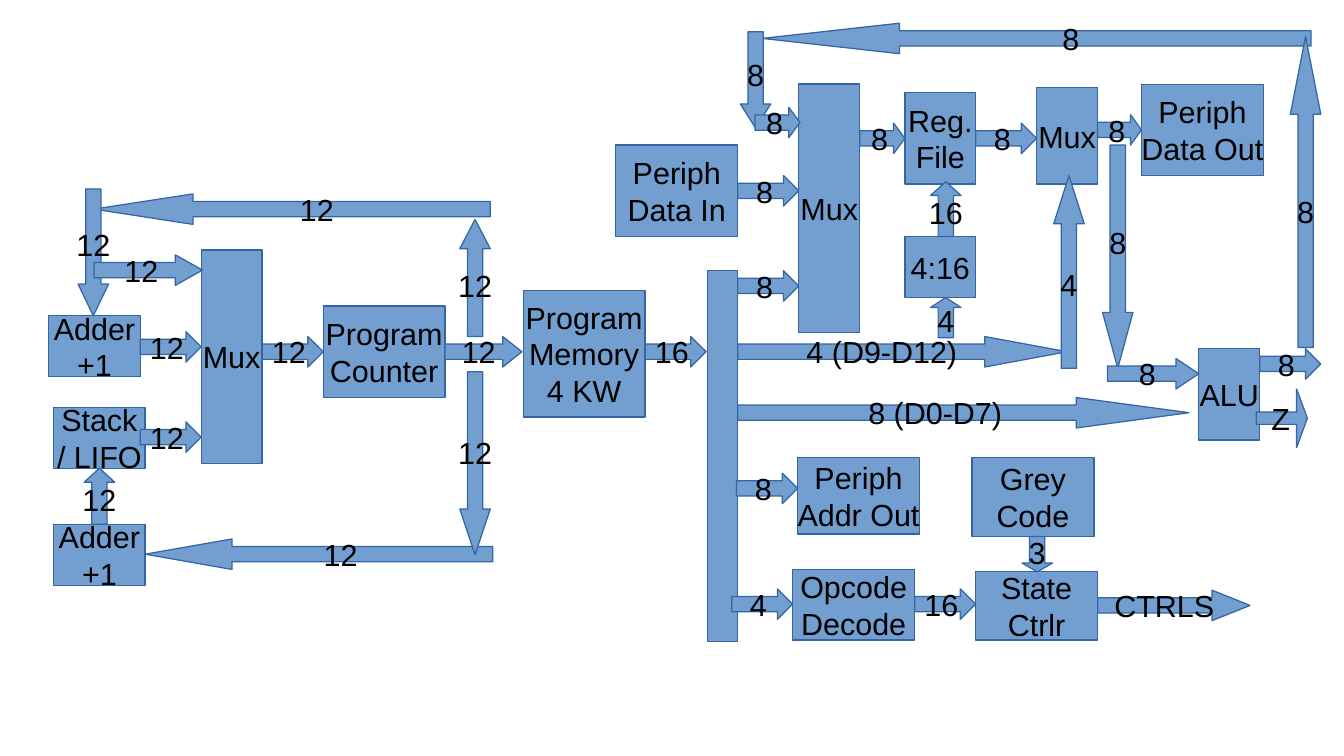
"""Draw the block diagram of a small processor with its labelled buses."""
from pptx import Presentation
from pptx.dml.color import RGBColor
from pptx.enum import shapes, text
from pptx.util import Inches, Pt

RECT = shapes.MSO_SHAPE.RECTANGLE
RIGHT = shapes.MSO_SHAPE.RIGHT_ARROW
LEFT = shapes.MSO_SHAPE.LEFT_ARROW
UP = shapes.MSO_SHAPE.UP_ARROW
DOWN = shapes.MSO_SHAPE.DOWN_ARROW
BUS_WIDTH = 0.25

prs = Presentation()
prs.slide_width, prs.slide_height = Inches(11.02), Inches(6.2)
slide = prs.slides.add_slide(prs.slide_layouts[6])


def color(value):
    return RGBColor.from_string(value)


def add_part(label, kind, left, top, width, height, size=18, font="Arial",
             ink="000000", fill="729FCF", edge="3465A4"):
    part = slide.shapes.add_shape(kind, Inches(left), Inches(top), Inches(width), Inches(height))
    part.shadow.inherit = False
    part.fill.solid()
    part.fill.fore_color.rgb = color(fill)
    part.line.color.rgb = color(edge)
    part.line.width = Pt(0)
    frame = part.text_frame
    frame.word_wrap = False
    frame.vertical_anchor = text.MSO_ANCHOR.MIDDLE
    frame.text = label
    for paragraph in frame.paragraphs:
        paragraph.alignment = text.PP_ALIGN.CENTER
        paragraph.font.size = Pt(size)
        paragraph.font.name = font
        paragraph.font.color.rgb = color(ink)
    return part


blocks = [
    ("Program\nMemory\n4 KW", 4.29, 2.38, 1, 1.04),
    ("Program\nCounter", 2.65, 2.51, 1, 0.75),
    ("Mux", 1.65, 2.05, 0.5, 1.75),
    ("Adder\n+1", 0.4, 2.59, 0.75, 0.5),
    ("Stack\n/ LIFO", 0.44, 3.34, 0.75, 0.5),
    ("Adder\n+1", 0.44, 4.3, 0.75, 0.5),
    ("", 5.8, 2.22, 0.25, 3.04),
    ("Periph\nData In", 5.05, 1.19, 1, 0.75),
    ("Mux", 6.55, 0.69, 0.5, 2.04),
    ("Reg.\nFile", 7.42, 0.76, 0.58, 0.75),
    ("4:16", 7.42, 1.94, 0.58, 0.5),
    ("Mux", 8.5, 0.72, 0.5, 0.79),
    ("Periph\nData Out", 9.36, 0.69, 1, 0.75),
    ("Periph\nAddr Out", 6.54, 3.75, 1, 0.63),
    ("Opcode\nDecode", 6.5, 4.67, 1, 0.58),
    ("Grey\nCode", 7.97, 3.75, 1, 0.65),
    ("State\nCtrlr", 8, 4.69, 1, 0.56),
    ("ALU", 9.83, 2.86, 0.5, 0.75),
]
for label, left, top, width, height in blocks:
    add_part(label, RECT, left, top, width, height)

buses = [
    ("12", RIGHT, 3.65, 2.76, 0.63),
    ("12", RIGHT, 2.15, 2.76, 0.5),
    ("16", RIGHT, 5.29, 2.76, 0.5),
    ("8", RIGHT, 6.05, 2.22, 0.5),
    ("8", RIGHT, 6.05, 1.44, 0.5),
    ("12", RIGHT, 1.15, 2.72, 0.5),
    ("8", RIGHT, 7.05, 1.01, 0.37),
    ("8", RIGHT, 8, 1.01, 0.5),
    ("8", LEFT, 6.25, 0.19, 4.5),
    ("4 (D9-D12)", RIGHT, 6.05, 2.76, 2.7),
    ("4", UP, 8.64, 1.44, 1.58),
    ("8", RIGHT, 9, 0.94, 0.36),
    ("8", RIGHT, 6.04, 3.88, 0.5),
    ("12", LEFT, 0.77, 1.59, 3.25),
    ("12", DOWN, 0.64, 1.55, 1.04),
    ("12", RIGHT, 0.77, 2.09, 0.89),
    ("12", RIGHT, 1.15, 3.46, 0.5),
    ("12", UP, 0.69, 3.84, 0.46),
    ("12", LEFT, 1.19, 4.42, 2.85),
    ("8", DOWN, 6.07, 0.26, 0.79),
    ("8", RIGHT, 6.19, 0.88, 0.37),
    ("12", UP, 3.77, 1.8, 0.96),
    ("12", DOWN, 3.77, 3.05, 1.5),
    ("4", RIGHT, 6, 4.83, 0.5),
    ("8", DOWN, 9.04, 1.19, 1.83),
    ("8 (D0-D7)", RIGHT, 6.05, 3.26, 3.7),
    ("8", RIGHT, 9.08, 2.94, 0.75),
    ("3", DOWN, 8.38, 4.4, 0.29),
    ("CTRLS", RIGHT, 9, 4.84, 1.25),
    ("16", RIGHT, 7.5, 4.83, 0.5),
    ("8", RIGHT, 10.33, 2.86, 0.5),
    ("8", UP, 10.58, 0.3, 2.55),
    ("16", UP, 7.63, 1.49, 0.45),
    ("4", UP, 7.63, 2.44, 0.33),
]
for label, direction, left, top, length in buses:
    width, height = (BUS_WIDTH, length) if direction in (UP, DOWN) else (length, BUS_WIDTH)
    bus = add_part(label, direction, left, top, width, height)
    bus.adjustments[0] = 0.5
    bus.adjustments[1] = length / 4 / BUS_WIDTH

zero_flag = add_part("Z", RIGHT, 10.3, 3.19, 0.42, 0.48)
zero_flag.adjustments[0] = 0.21
zero_flag.adjustments[1] = 0.21

prs.save("out.pptx")
